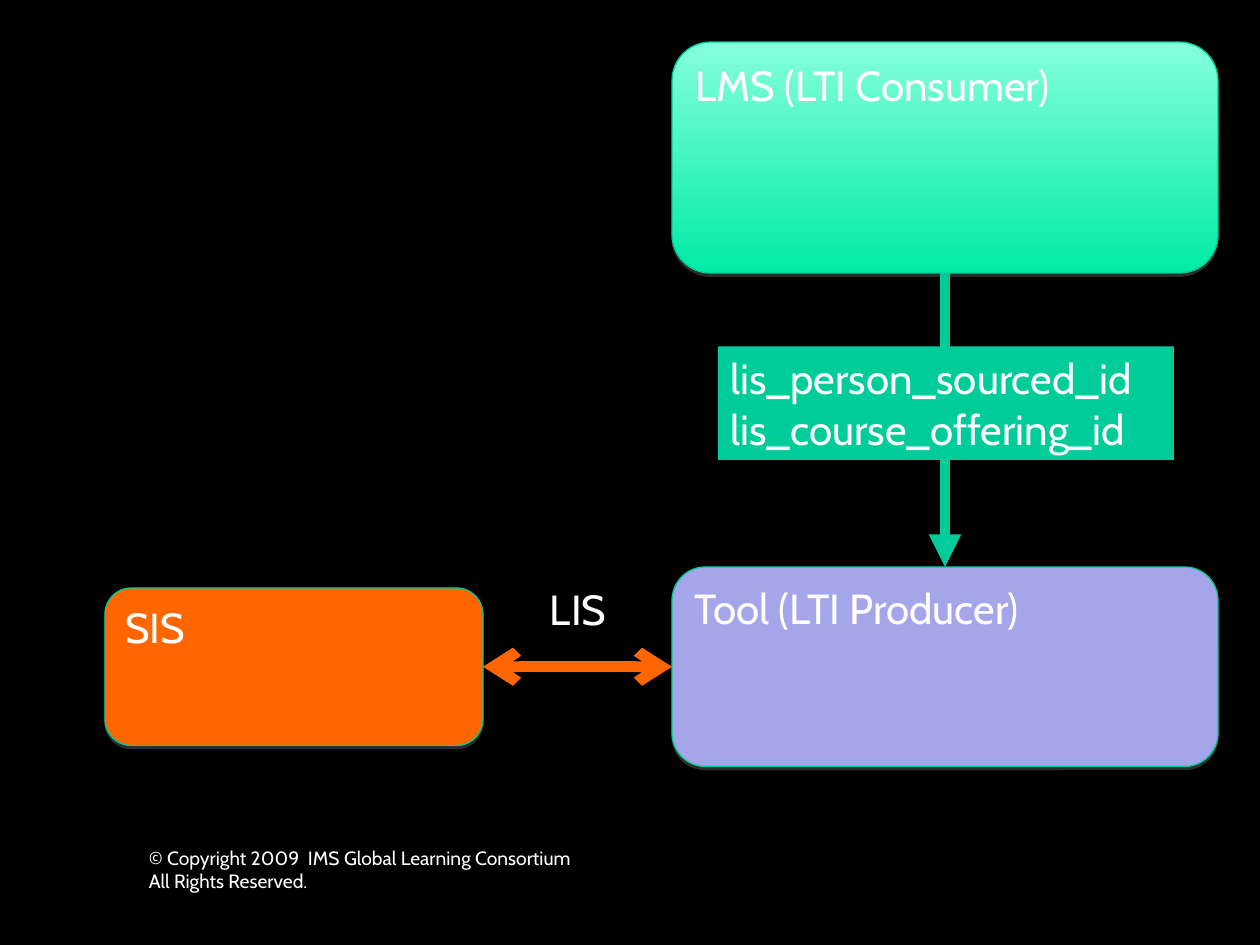
from dataclasses import dataclass
from typing import Optional

from pptx import Presentation
from pptx.dml.color import RGBColor
from pptx.enum.shapes import MSO_CONNECTOR, MSO_SHAPE
from pptx.enum.text import MSO_ANCHOR, MSO_AUTO_SIZE, PP_ALIGN
from pptx.oxml import parse_xml
from pptx.oxml.ns import nsdecls, qn
from pptx.util import Inches, Pt

BLACK = RGBColor(0x00, 0x00, 0x00)
WHITE = RGBColor(0xFF, 0xFF, 0xFF)
ORANGE = RGBColor(0xFF, 0x66, 0x00)
LILAC = RGBColor(0xA5, 0xA5, 0xE9)
GREEN = RGBColor(0x00, 0xCC, 0x99)
OUTLINE = RGBColor(0x00, 0xCC, 0x98)
MINT = RGBColor(0x85, 0xFF, 0xDB)
DEEP_MINT = RGBColor(0x00, 0xEB, 0xA8)

FONT = "Cabin"
COLUMNS, ROWS = 120, 90
WIDTH, HEIGHT = Inches(10), Inches(7.5)


@dataclass(frozen=True)
class Area:
    """A rectangle in columns and rows of the slide grid."""
    column: float
    row: float
    columns: float
    rows: float

    def lengths(self) -> tuple[int, int, int, int]:
        return (round(self.column * WIDTH / COLUMNS), round(self.row * HEIGHT / ROWS),
                round(self.columns * WIDTH / COLUMNS), round(self.rows * HEIGHT / ROWS))


@dataclass(frozen=True)
class System:
    name: str
    area: Area
    colors: tuple[RGBColor, ...]


@dataclass(frozen=True)
class Label:
    lines: tuple[str, ...]
    area: Area
    size: int = 24
    wrap: bool = False
    fill: Optional[RGBColor] = None


@dataclass(frozen=True)
class Link:
    start: str
    start_side: int
    end: str
    end_side: int
    color: RGBColor
    head: str
    tail: str


SYSTEMS = (
    System("SIS", Area(10, 56, 36, 15), (ORANGE,)),
    System("LMS (LTI Consumer)", Area(64, 4, 52, 22), (MINT, DEEP_MINT)),
    System("Tool (LTI Producer)", Area(64, 54, 52, 19), (LILAC,)),
)
LINKS = (
    Link("LMS (LTI Consumer)", 2, "Tool (LTI Producer)", 0, GREEN, "none", "triangle"),
    Link("Tool (LTI Producer)", 1, "SIS", 3, ORANGE, "arrow", "arrow"),
)
LABELS = (
    Label(("lis_person_sourced_id", "lis_course_offering_id"),
          Area(68.4, 33, 43.4, 10.8), fill=GREEN),
    Label(("© Copyright 2009  IMS Global Learning Consortium", "All Rights Reserved."),
          Area(13, 80, 45, 7.8), size=11, wrap=True),
    Label(("LIS",), Area(51.2, 55, 8, 6)),
)


def write_lines(frame, lines: tuple[str, ...], size: int) -> None:
    frame.vertical_anchor = MSO_ANCHOR.TOP
    frame.text = "\n".join(lines)
    for para in frame.paragraphs:
        para.alignment = PP_ALIGN.LEFT
        para.font.name = FONT
        para.font.size = Pt(size)
        para.font.color.rgb = WHITE


def draw_system(page, system: System):
    box = page.shapes.add_shape(MSO_SHAPE.ROUNDED_RECTANGLE, *system.area.lengths())
    if len(system.colors) == 1:
        box.fill.solid()
        box.fill.fore_color.rgb = system.colors[0]
    else:
        box.fill.gradient()
        box.fill.gradient_angle = 270
        for stop, color in zip(box.fill.gradient_stops, system.colors):
            stop.color.rgb = color
    box.line.color.rgb = OUTLINE
    box.line.width = Pt(0.75)
    # Thin grey shadow straight below the box
    box.shadow.inherit = False
    box._element.spPr.find(qn("a:effectLst")).append(parse_xml(
        f'<a:outerShdw {nsdecls("a")} blurRad="0" dist="{Pt(1.8)}" dir="5400000" '
        'rotWithShape="0"><a:srgbClr val="808080"><a:alpha val="35000"/>'
        '</a:srgbClr></a:outerShdw>'))
    write_lines(box.text_frame, (system.name,), 24)
    return box


def draw_link(page, link: Link, boxes: dict) -> None:
    arrow = page.shapes.add_connector(MSO_CONNECTOR.STRAIGHT, 0, 0, 0, 0)
    arrow.begin_connect(boxes[link.start], link.start_side)
    arrow.end_connect(boxes[link.end], link.end_side)
    arrow.line.color.rgb = link.color
    arrow.line.width = Pt(6.25)
    properties = arrow._element.spPr
    outline = properties.find(qn("a:ln"))
    for end, kind in (("headEnd", link.head), ("tailEnd", link.tail)):
        outline.append(parse_xml(f'<a:{end} {nsdecls("a")} type="{kind}"/>'))
    properties.append(parse_xml(f'<a:effectLst {nsdecls("a")}/>'))


def draw_label(page, label: Label) -> None:
    box = page.shapes.add_textbox(*label.area.lengths())
    if label.fill is not None:
        box.fill.solid()
        box.fill.fore_color.rgb = label.fill
    box.text_frame.word_wrap = label.wrap
    box.text_frame.auto_size = MSO_AUTO_SIZE.SHAPE_TO_FIT_TEXT
    write_lines(box.text_frame, label.lines, label.size)


def main() -> None:
    deck = Presentation()
    deck.slide_width, deck.slide_height = WIDTH, HEIGHT
    page = deck.slides.add_slide(deck.slide_layouts[6])
    page.background.fill.solid()
    page.background.fill.fore_color.rgb = BLACK

    # Systems first, then the links between them, then the labels on top
    boxes = {system.name: draw_system(page, system) for system in SYSTEMS}
    for link in LINKS:
        draw_link(page, link, boxes)
    for label in LABELS:
        draw_label(page, label)
    deck.save("out.pptx")


if __name__ == "__main__":
    main()
